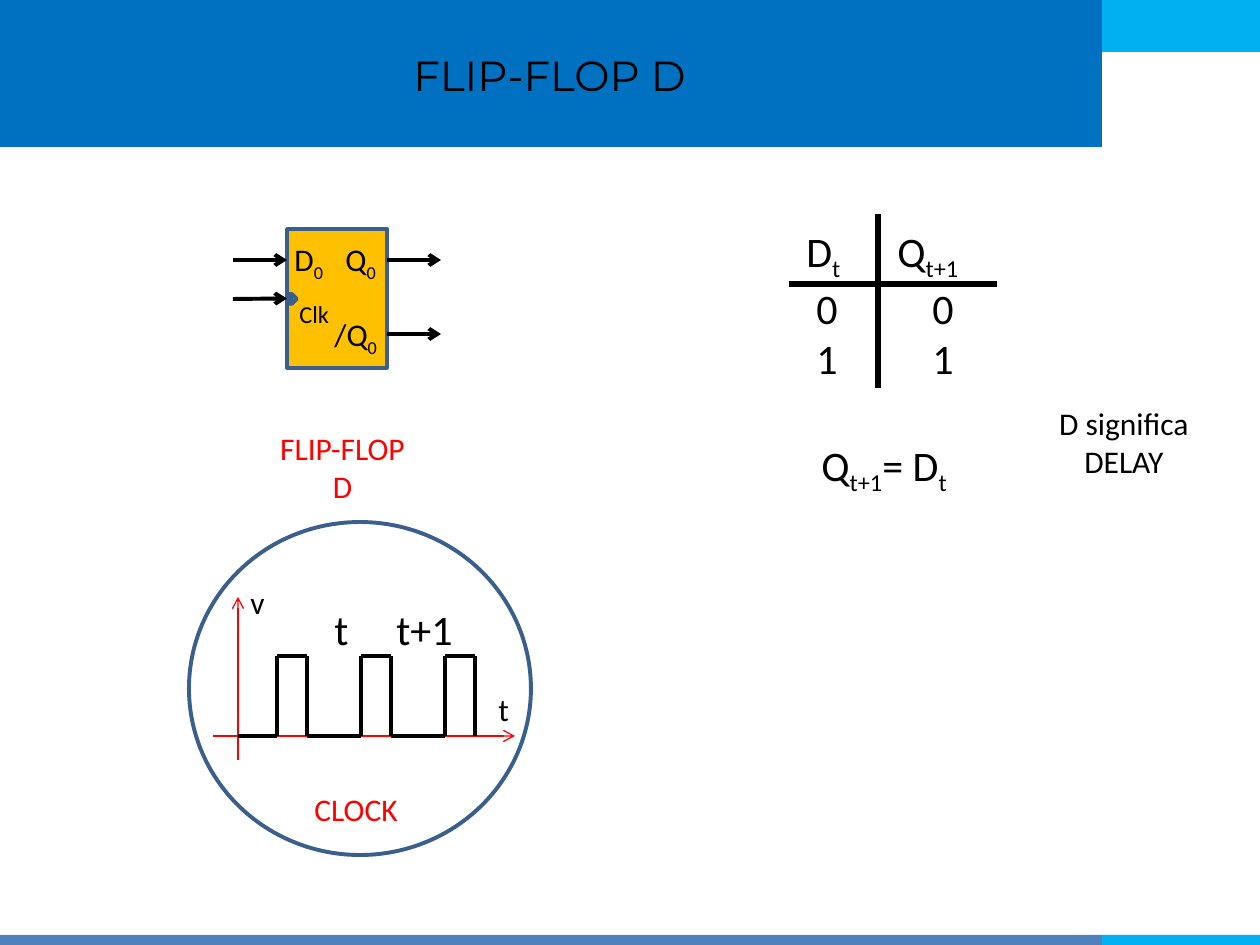
from lxml.etree import SubElement
from pptx import Presentation
from pptx.dml.color import RGBColor
from pptx.enum.shapes import MSO_CONNECTOR, MSO_SHAPE
from pptx.enum.text import MSO_ANCHOR, MSO_AUTO_SIZE, PP_ALIGN
from pptx.oxml.ns import qn
from pptx.util import Pt

PX = 914400 / 126
BLACK = RGBColor(0x00, 0x00, 0x00)
RED = RGBColor(0xFF, 0x00, 0x00)
BLUE = RGBColor(0x00, 0x70, 0xC0)
SKY = RGBColor(0x00, 0xB0, 0xF0)
STEEL = RGBColor(0x4F, 0x81, 0xBD)
OUTLINE = RGBColor(0x3A, 0x5F, 0x8C)
AMBER = RGBColor(0xFF, 0xC0, 0x00)


def emu(*lengths):
    return [round(length * PX) for length in lengths]


class Sketch:
    font_name = "Calibri"

    def __init__(self, page):
        self.page = page

    def shape(self, kind, area, fill=None, line=None, weight=2):
        shape = self.page.shapes.add_shape(kind, *emu(*area))
        shape.shadow.inherit = False
        if fill is None:
            shape.fill.background()
        else:
            shape.fill.solid()
            shape.fill.fore_color.rgb = fill
        if line is None:
            shape.line.fill.background()
        else:
            shape.line.color.rgb = line
            shape.line.width = Pt(weight)
        return shape

    def line(self, start, end, weight=2.25, color=BLACK, arrow=False):
        line = self.page.shapes.add_connector(
            MSO_CONNECTOR.STRAIGHT, *emu(*start, *end))
        line.line.color.rgb = color
        line.line.width = Pt(weight)
        if arrow:
            SubElement(line.line._get_or_add_ln(), qn("a:tailEnd"), type="arrow")
        SubElement(line._element.spPr, qn("a:effectLst"))
        return line

    def text(self, area, paragraphs, size=18, color=BLACK, name=None,
             align=PP_ALIGN.LEFT, anchor=MSO_ANCHOR.TOP,
             fit=MSO_AUTO_SIZE.SHAPE_TO_FIT_TEXT):
        """Each paragraph is (pieces, tab stops); "_" before a piece lowers it."""
        box = self.page.shapes.add_textbox(*emu(*area))
        frame = box.text_frame
        frame_format = {"word_wrap": True, "auto_size": fit,
                        "vertical_anchor": anchor}
        for key, value in frame_format.items():
            setattr(frame, key, value)
        font_format = {"name": name or self.font_name, "size": Pt(size)}
        for number, (pieces, stops) in enumerate(paragraphs):
            para = frame.add_paragraph() if number else frame.paragraphs[0]
            para.alignment = align
            if stops:
                tabs = SubElement(para._p.get_or_add_pPr(), qn("a:tabLst"))
                for stop in emu(*stops):
                    SubElement(tabs, qn("a:tab"), pos=str(stop), algn="l")
            for piece in pieces:
                span = para.add_run()
                span.text = piece.removeprefix("_")
                for key, value in font_format.items():
                    setattr(span.font, key, value)
                span.font.color.rgb = color
                if piece.startswith("_"):
                    span._r.get_or_add_rPr().set("baseline", "-25000")
        return box


def draw_header_and_footer(sketch):
    bands = [
        ((0, 0, 1102, 147), BLUE),
        ((1102, 0, 158, 52), SKY),
        ((0, 935, 1102, 10), STEEL),
        ((1102, 935, 158, 10), SKY),
    ]
    for area, fill in bands:
        sketch.shape(MSO_SHAPE.RECTANGLE, area, fill)
    sketch.text((14, 14, 1071, 122), [(["FLIP-FLOP D"], [])], 24,
                name="Montserrat", align=PP_ALIGN.CENTER,
                anchor=MSO_ANCHOR.MIDDLE, fit=MSO_AUTO_SIZE.NONE)


def draw_flip_flop(sketch):
    left, right, pin = 287, 387, 54
    chip = sketch.shape(MSO_SHAPE.RECTANGLE, (left, 229, right - left, 139),
                        AMBER, OUTLINE)
    for y in (260, 334):
        sketch.line((right, y), (right + pin, y), arrow=True)
    sketch.shape(MSO_SHAPE.CHEVRON, (left, 294, 10, 10), STEEL, OUTLINE)
    clock_pin = sketch.line((left - pin, 299), (left, 299), arrow=True)
    clock_pin.end_connect(chip, 1)
    sketch.line((left - pin, 260), (left, 260), arrow=True)
    sketch.text((282, 234, 110, 51), [(["D", "_0", "\tQ", "_0"], [51])])
    sketch.text((322, 309, 75, 51), [(["/Q", "_0"], [])])
    sketch.text((287, 265, 75, 46), [(["_Clk"], [])], 24)
    sketch.text((258, 423, 169, 89), [(["FLIP-FLOP D"], [])],
                color=RED, align=PP_ALIGN.CENTER)


def draw_clock(sketch):
    low, high, origin = 736, 656, 238
    first, period, width = 277, 84, 30
    sketch.shape(MSO_SHAPE.OVAL, (189, 522, 342, 333), line=OUTLINE, weight=2.25)
    sketch.line((origin, 760), (origin, 597), 0.75, RED, arrow=True)
    sketch.line((213, low), (515, low), 0.75, RED, arrow=True)
    fall = origin
    for pulse in range(3):
        rise = first + pulse * period
        sketch.line((fall, low), (rise, low))
        fall = rise + width
        sketch.line((rise, low), (rise, high))
        sketch.line((rise, high), (fall, high))
        sketch.line((fall, low), (fall, high))
    sketch.text((238, 577, 39, 51), [(["v"], [])])
    sketch.text((486, 684, 39, 51), [(["t"], [])])
    sketch.text((302, 784, 124, 51), [(["CLOCK"], [])], color=RED)
    sketch.text((322, 597, 179, 64), [(["t\tt+1"], [62])], 24)


def draw_truth_table(sketch):
    columns = [10, 126]
    rows = [(["D", "_t", "\tQ", "_t+1"], [91]),
            (["\t0\t0"], columns),
            (["\t1\t1"], columns)]
    sketch.text((794, 219, 223, 165), rows, 24)
    sketch.line((789, 284), (997, 284), 3)
    sketch.line((878, 214), (878, 388), 3)
    sketch.text((809, 433, 159, 64), [(["Q", "_t+1", "= D", "_t"], [])], 24)
    sketch.text((1042, 398, 164, 89), [(["D significa"], []), (["DELAY"], [])],
                align=PP_ALIGN.CENTER)


def main():
    deck = Presentation()
    deck.slide_width, deck.slide_height = emu(1260, 945)
    sketch = Sketch(deck.slides.add_slide(deck.slide_layouts[6]))
    draw_header_and_footer(sketch)
    draw_flip_flop(sketch)
    draw_clock(sketch)
    draw_truth_table(sketch)
    deck.save("out.pptx")


if __name__ == "__main__":
    main()
